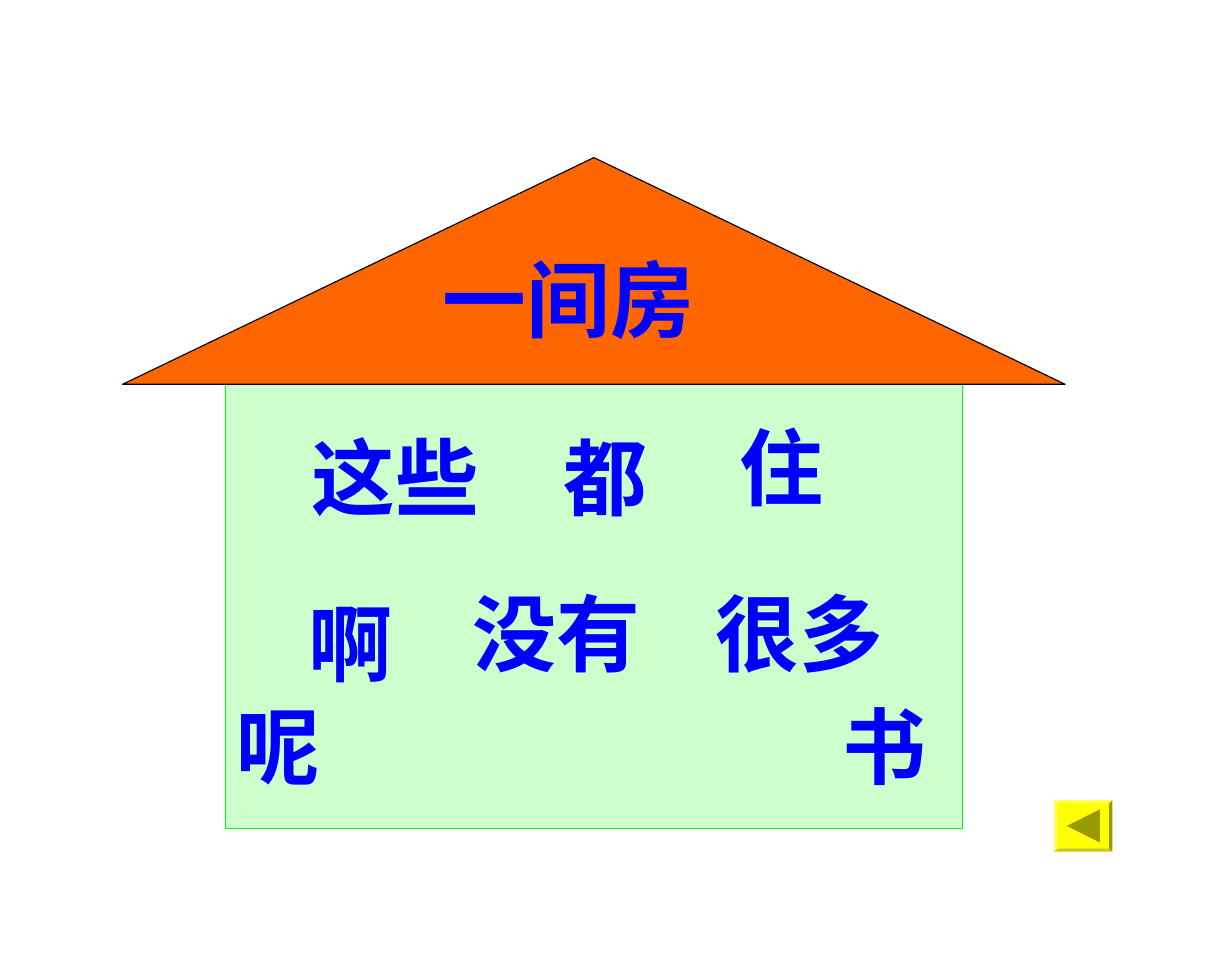
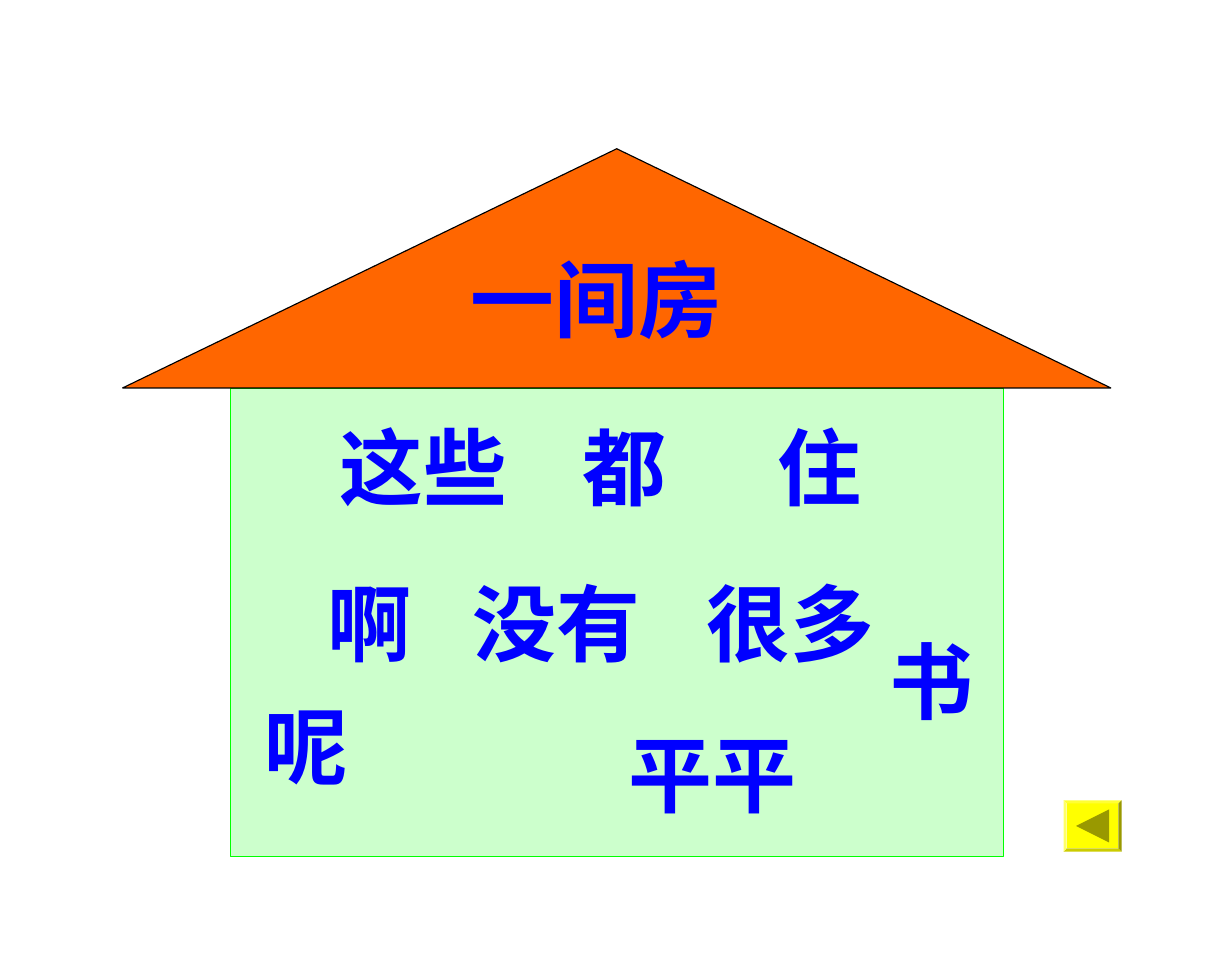
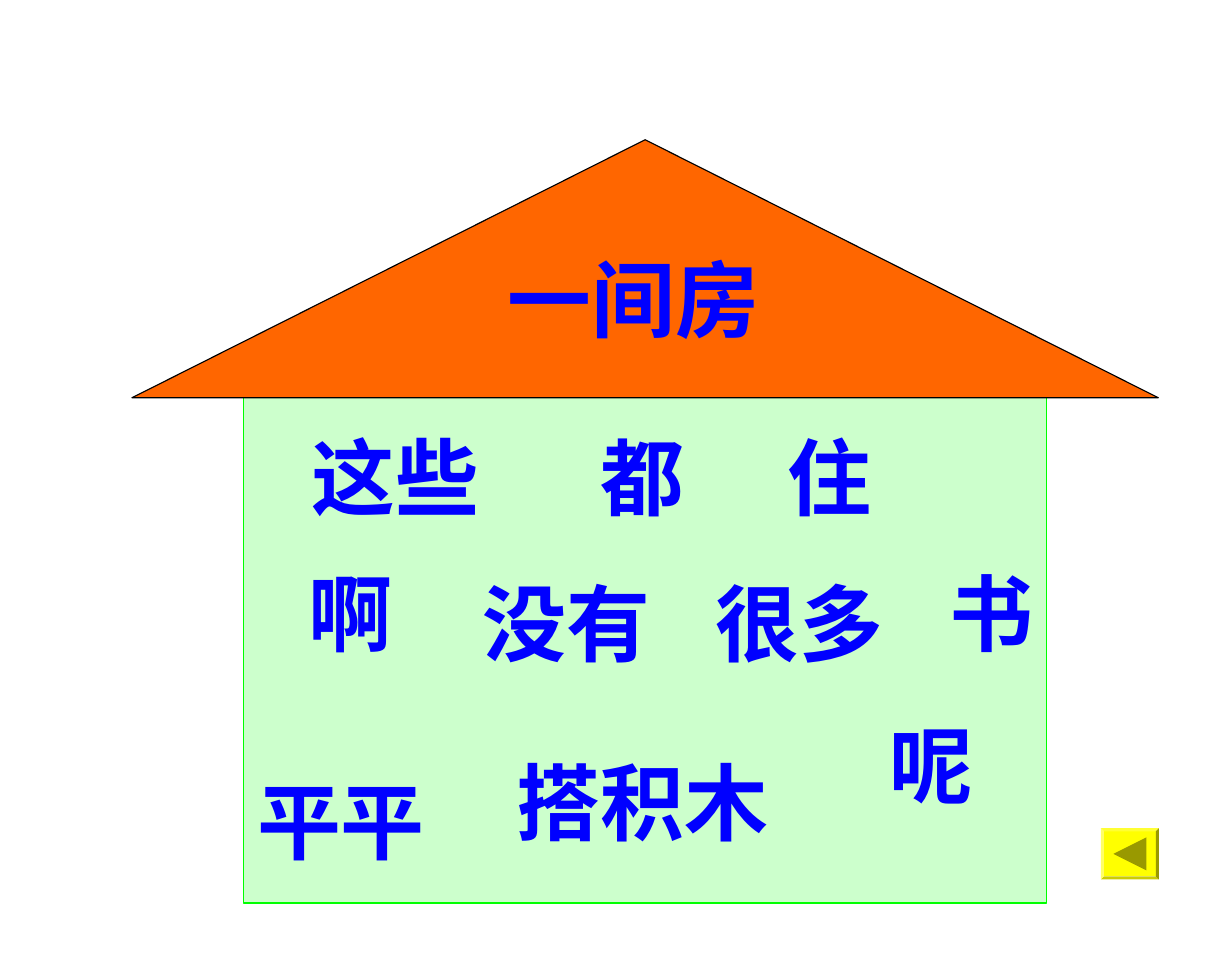
from dataclasses import dataclass

from pptx import Presentation
from pptx.dml.color import RGBColor
from pptx.enum.shapes import MSO_SHAPE
from pptx.enum.text import MSO_ANCHOR, MSO_AUTO_SIZE, PP_ALIGN
from pptx.util import Pt

RECTANGLE = MSO_SHAPE.RECTANGLE
TRIANGLE = MSO_SHAPE.ISOSCELES_TRIANGLE
BEVEL = MSO_SHAPE.BEVEL
TOP = MSO_ANCHOR.TOP
LEFT = PP_ALIGN.LEFT
FIT_SHAPE = MSO_AUTO_SIZE.SHAPE_TO_FIT_TEXT
TITLE_ONLY = 5


@dataclass(frozen=True)
class Theme:
    paper: str = "FFFFFF"
    wall: str = "CCFFCC"
    wall_edge: str = "00FF00"
    roof: str = "FF6600"
    roof_edge: str = "000000"
    word: str = "0000FF"
    button: str = "FFFF00"
    arrow: str = "999900"
    font: str = "Times New Roman"
    word_size: float = 54
    edge_width: float = 0.75


@dataclass(frozen=True)
class Box:
    left: float
    top: float
    width: float
    height: float

    def points(self):
        return [Pt(n) for n in (self.left, self.top, self.width, self.height)]

    def inner(self, left, top, width, height):
        """Return a box whose left and top are offsets within this one."""
        return Box(self.left + left, self.top + top, width, height)


THEME = Theme()
SLIDE_WIDTH, SLIDE_HEIGHT = 793.5, 623.5
ROOF_SHARE = 0.338
EAVE_SHARE = 0.109
WORD_HEIGHT = 72.7
BUTTON_WIDTH, BUTTON_HEIGHT = 37.4, 33
ARROW_SIZE = 21.3
TITLE = "一间房"
WORD_WIDTHS = {
    "一间房": 200, "搭积木": 200, "这些": 125, "很多": 125, "没有": 137.5,
    "平平": 131, "都": 88, "住": 100, "啊": 81.5, "呢": 93.5, "书": 75,
}

# Each page: house box, title offset, word offsets within the house, button corner.
PAGES = [
    (Box(79, 101.5, 607, 432), (198.2, 54), [
        ("书", 456, 342), ("很多", 373.9, 269.3), ("没有", 217.6, 269.3),
        ("啊", 111.8, 275.8), ("呢", 65.7, 342), ("住", 389.7, 162),
        ("都", 276, 168.5), ("这些", 114, 168.5),
    ], (679, 515.5)),
    (Box(79, 95.8, 636.5, 455.8), (216.2, 59.7), [
        ("呢", 83.7, 347.7), ("这些", 132, 167.7), ("都", 288.2, 167.7),
        ("住", 414.2, 167.7), ("啊", 124, 268.5), ("没有", 217.6, 268.5),
        ("很多", 368.1, 268.5), ("平平", 317.7, 365.7), ("书", 486.2, 306),
    ], (685, 515.5)),
    (Box(85, 90, 661, 491.7), (234, 65.5), [
        ("呢", 480.2, 365.8), ("这些", 108, 180), ("都", 293.7, 180),
        ("住", 414, 180), ("啊", 105.8, 267.8), ("没有", 218, 274.3),
        ("很多", 367.9, 274.3), ("平平", 72.7, 401.8),
        ("搭积木", 239.7, 389.5), ("书", 518.4, 267.8),
    ], (709, 533.5)),
]


def add_block(shapes, kind, box, fill, edge=None):
    block = shapes.add_shape(kind, *box.points())
    block.shadow.inherit = False
    block.fill.solid()
    block.fill.fore_color.rgb = RGBColor.from_string(fill)
    if edge:
        block.line.color.rgb = RGBColor.from_string(edge)
        block.line.width = Pt(THEME.edge_width)
    else:
        block.line.fill.background()
    return block


def add_house(page, box):
    roof_height = box.height * ROOF_SHARE
    eave = box.width * EAVE_SHARE
    house = page.shapes.add_group_shape()
    walls = box.inner(eave, roof_height, box.width - 2 * eave,
                      box.height - roof_height)
    roof = box.inner(0, 0, box.width, roof_height)
    add_block(house.shapes, RECTANGLE, walls, THEME.wall, THEME.wall_edge)
    add_block(house.shapes, TRIANGLE, roof, THEME.roof, THEME.roof_edge)


def write_word(holder, word):
    frame = holder.text_frame
    frame.text = word
    frame.word_wrap = True
    frame.auto_size = FIT_SHAPE
    frame.vertical_anchor = TOP
    frame.margin_left = frame.margin_right = Pt(7.9)
    frame.margin_top = frame.margin_bottom = Pt(4)
    para = frame.paragraphs[0]
    para.alignment = LEFT
    para.font.name = THEME.font
    para.font.size = Pt(THEME.word_size)
    para.font.bold = True
    para.font.color.rgb = RGBColor.from_string(THEME.word)


def word_box(house_box, word, left, top):
    return house_box.inner(left, top, WORD_WIDTHS[word], WORD_HEIGHT)


def place_title(page, house_box, left, top):
    """Put the title on the roof, in front of the house."""
    title = page.shapes.title
    box = word_box(house_box, TITLE, left, top)
    title.left, title.top, title.width, title.height = box.points()
    write_word(title, TITLE)
    title.element.getparent().append(title.element)


def add_words(page, house_box, words):
    for word, left, top in words:
        box = word_box(house_box, word, left, top)
        write_word(page.shapes.add_textbox(*box.points()), word)


def add_back_button(page, box):
    plate = add_block(page.shapes, BEVEL, box, THEME.button)
    plate.adjustments[0] = 0.06
    arrow_box = box.inner((box.width - ARROW_SIZE) / 2,
                          (box.height - ARROW_SIZE) / 2,
                          ARROW_SIZE, ARROW_SIZE)
    arrow = add_block(page.shapes, TRIANGLE, arrow_box, THEME.arrow)
    arrow.rotation = 270


def add_page(deck, house_box, title_offset, words, button_corner):
    page = deck.slides.add_slide(deck.slide_layouts[TITLE_ONLY])
    page.background.fill.solid()
    page.background.fill.fore_color.rgb = RGBColor.from_string(THEME.paper)
    add_house(page, house_box)
    place_title(page, house_box, *title_offset)
    add_words(page, house_box, words)
    add_back_button(page, Box(*button_corner, BUTTON_WIDTH, BUTTON_HEIGHT))


def main():
    deck = Presentation()
    deck.slide_width = Pt(SLIDE_WIDTH)
    deck.slide_height = Pt(SLIDE_HEIGHT)
    for content in PAGES:
        add_page(deck, *content)
    deck.save("out.pptx")


if __name__ == "__main__":
    main()
